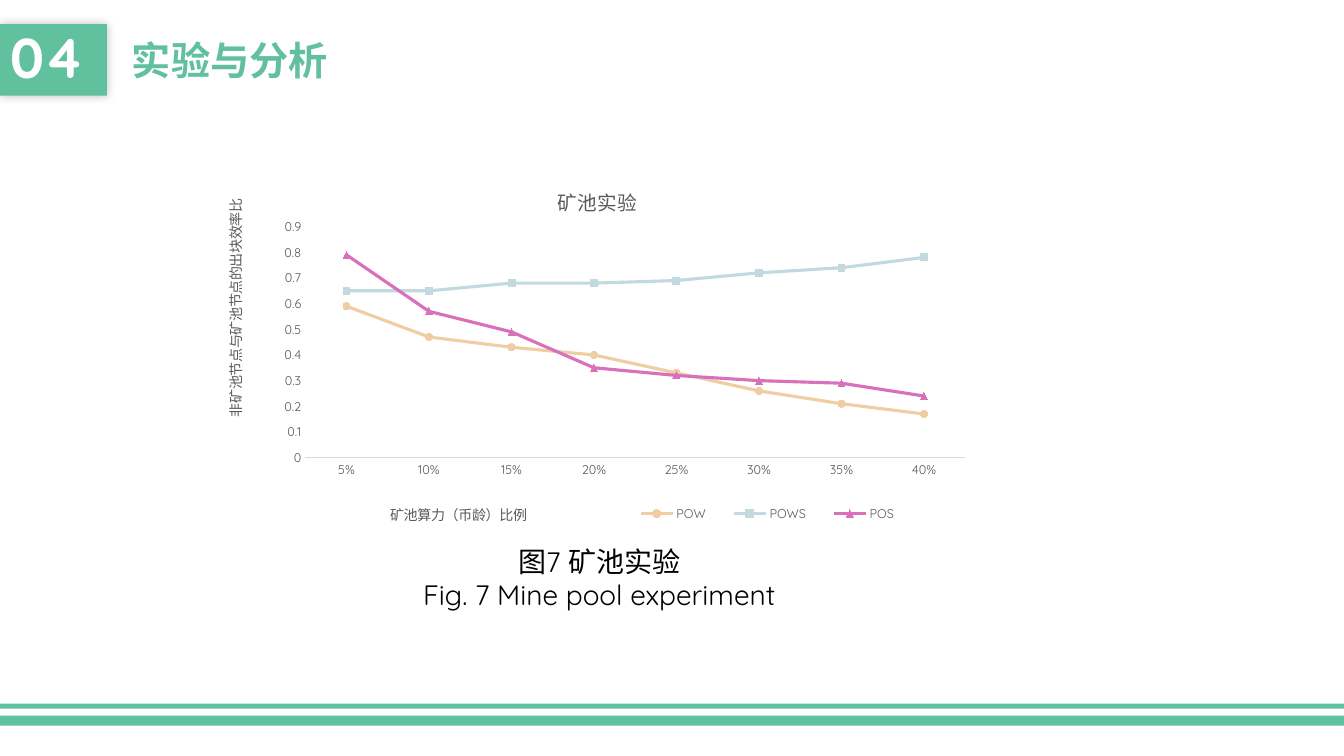
"""Build the mine pool experiment slide with its line chart."""
from lxml import etree
from pptx import Presentation
from pptx.chart import data as cd
from pptx.dml.color import RGBColor
from pptx.enum import chart as ce, shapes, text
from pptx.oxml import ns, parse_xml
from pptx.util import Inches, Pt

GREEN, GRAY = "61C09E", "595959"


def style(font, size, color, bold=False):
    font.name, font.size, font.bold = "Quicksand", Pt(size), bold
    font.color.rgb = RGBColor.from_string(color)


def place(node, index, **box):
    for old in node.findall(ns.qn("c:layout")):
        node.remove(old)
    layout = etree.Element(ns.qn("c:layout"))
    node.insert(index, layout)
    manual = etree.SubElement(layout, ns.qn("c:manualLayout"))
    for key, val in box.items():
        etree.SubElement(manual, ns.qn("c:" + key)).set("val", str(val))


deck = Presentation()
deck.slide_width, deck.slide_height = Inches(13.33), Inches(7.5)
slide = deck.slides.add_slide(deck.slide_layouts[6])

rects = []
for top, width, height in [(7.1, 13.33, 0.1), (6.98, 13.33, 0.05), (0.24, 1.06, 0.71)]:
    rect = slide.shapes.add_shape(shapes.MSO_SHAPE.RECTANGLE, 0, Inches(top), Inches(width), Inches(height))
    rect.shadow.inherit = False
    rect.fill.solid()
    rect.fill.fore_color.rgb = RGBColor.from_string(GREEN)
    rect.line.fill.background()
    rects.append(rect)

badge = rects[-1]
glow = parse_xml(
    f'<a:outerShdw {ns.nsdecls("a")} blurRad="88900" dist="0" dir="0">'
    '<a:srgbClr val="000000"><a:alpha val="25000"/></a:srgbClr></a:outerShdw>')
badge.element.spPr.find(ns.qn("a:effectLst")).append(glow)

head = slide.shapes.add_textbox(Inches(1.21), Inches(0.24), Inches(7.04), Inches(0.71))
for shape, words, size, color in [(badge, "04", 40, "FFFFFF"), (head, "实验与分析", 28, GREEN)]:
    frame = shape.text_frame
    frame.word_wrap = True
    frame.vertical_anchor = text.MSO_ANCHOR.MIDDLE
    para = frame.paragraphs[0]
    para.text = words
    para.alignment = text.PP_ALIGN.LEFT
    style(para.font, size, color, True)
badge.text_frame.paragraphs[0].line_spacing = 0.9

note = slide.shapes.add_textbox(Inches(2.61), Inches(5.35), Inches(6.67), Inches(0.77))
note.text_frame.word_wrap = True
note.text_frame.text = "图7 矿池实验\nFig. 7 Mine pool experiment"
for para in note.text_frame.paragraphs:
    para.alignment = text.PP_ALIGN.CENTER
    style(para.font, 20, "000000")

MARK = ce.XL_MARKER_STYLE
lines = [
    ("POW", "F0CEA3", MARK.CIRCLE, (0.59, 0.47, 0.43, 0.4, 0.33, 0.26, 0.21, 0.17)),
    ("POWS", "C1D9DF", MARK.SQUARE, (0.65, 0.65, 0.68, 0.68, 0.69, 0.72, 0.74, 0.78)),
    ("POS", "D870BB", MARK.TRIANGLE, (0.79, 0.57, 0.49, 0.35, 0.32, 0.3, 0.29, 0.24)),
]
data = cd.CategoryChartData()
data.categories = [n / 100 for n in range(5, 45, 5)]
data.categories.number_format = "0%"
for name, color, mark, vals in lines:
    data.add_series(name, vals)
chart = slide.shapes.add_chart(
    ce.XL_CHART_TYPE.LINE_MARKERS, Inches(1.96), Inches(1.57), Inches(7.85), Inches(3.77), data).chart
style(chart.font, 10, "000000")
plot = chart.plots[0]
plot.vary_by_categories = False
for series, (name, color, mark, vals) in zip(plot.series, lines):
    rgb = RGBColor.from_string(color)
    series.smooth = False
    series.format.line.width = Pt(2.25)
    series.format.line.color.rgb = rgb
    series.marker.style, series.marker.size = mark, 5
    series.marker.format.fill.solid()
    series.marker.format.fill.fore_color.rgb = rgb
    series.marker.format.line.color.rgb = rgb

cat, val = chart.category_axis, chart.value_axis
for axis, form in [(cat, "0%"), (val, "General")]:
    axis.has_major_gridlines = False
    axis.major_tick_mark = axis.minor_tick_mark = ce.XL_TICK_MARK.NONE
    axis.tick_labels.number_format = form
    axis.tick_labels.number_format_is_linked = False
    style(axis.tick_labels.font, 9, GRAY)
cat.format.line.width = Pt(0.75)
cat.format.line.color.rgb = RGBColor.from_string("D9D9D9")
val.format.line.fill.background()
val.minimum_scale, val.maximum_scale, val.major_unit = 0, 0.9, 0.1

for owner, words, size, turn, x, y in [
    (chart.chart_title, "矿池实验", 14, 0, 0.45, 0.06),
    (cat.axis_title, "矿池算力（币龄）比例", 10, 0, 0.24, 0.9),
    (val.axis_title, "非矿池节点与矿池节点的出块效率比", 10, -90, 0.03, 0.1),
]:
    owner.text_frame.text = words
    style(owner.text_frame.paragraphs[0].font, size, GRAY)
    node = owner._element
    node.find(".//" + ns.qn("a:bodyPr")).set("rot", str(turn * 60000))
    place(node, 1, xMode="edge", yMode="edge", x=x, y=y)

chart.has_legend = True
key = chart.legend
key.position = ce.XL_LEGEND_POSITION.BOTTOM
key.include_in_layout = False
style(key.font, 9, GRAY)
place(key._element, 1, xMode="edge", yMode="edge", x=0.53, y=0.9, w=0.38, h=0.07)
place(chart._chartSpace.chart.plotArea, 0, layoutTarget="inner",
      xMode="edge", yMode="edge", x=0.136, y=0.18, w=0.834, h=0.608)

deck.save("out.pptx")
